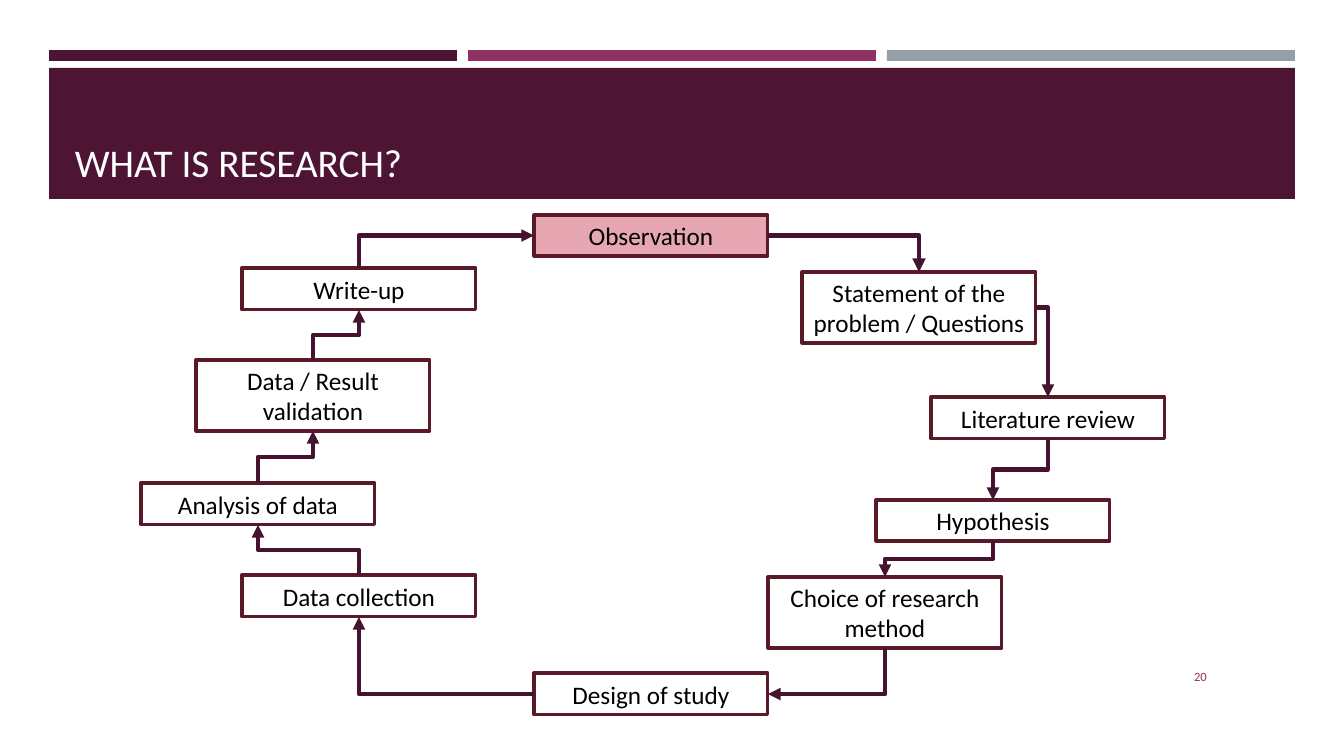
from lxml import etree
from pptx import Presentation
from pptx.dml.color import RGBColor
from pptx.enum.shapes import MSO_CONNECTOR, MSO_SHAPE
from pptx.enum.text import MSO_ANCHOR, PP_ALIGN
from pptx.oxml.ns import qn
from pptx.util import Pt

RECT, ELBOW = MSO_SHAPE.RECTANGLE, MSO_CONNECTOR.ELBOW
MIDDLE, BOTTOM_ANCHOR = MSO_ANCHOR.MIDDLE, MSO_ANCHOR.BOTTOM
LEFT_ALIGN, CENTER = PP_ALIGN.LEFT, PP_ALIGN.CENTER
PX = 914400 / 100.8
COLORS = {
    "plum": "4D1434", "magenta": "903163", "gray": "969FA7", "white": "FFFFFF",
    "black": "000000", "pink": "E6A7B3", "border": "591926", "arrow": "45122F",
}
# Connection sites of a rectangle, and the heading of a line leaving each
TOP, LEFT, BOTTOM, RIGHT = range(4)
HEADINGS = {TOP: (0, -1), LEFT: (-1, 0), BOTTOM: (0, 1), RIGHT: (1, 0)}
ROTATIONS = {TOP: 270, LEFT: 180, BOTTOM: 90, RIGHT: 0}

prs = Presentation()
prs.slide_width, prs.slide_height = round(1344 * PX), round(756 * PX)
slide = prs.slides.add_slide(prs.slide_layouts[6])
shapes = slide.shapes


def add_box(x, y, w, h, fill=None, border=None):
    box = shapes.add_shape(RECT, *(round(v * PX) for v in (x, y, w, h)))
    box.shadow.inherit = False
    if fill:
        box.fill.solid()
        box.fill.fore_color.rgb = RGBColor.from_string(COLORS[fill])
    else:
        box.fill.background()
    if border:
        box.line.color.rgb = RGBColor.from_string(COLORS[border])
        box.line.width = Pt(2.25)
    else:
        box.line.fill.background()
    return box


def write(shape, text, size, color, align, anchor):
    frame = shape.text_frame
    frame.word_wrap = True
    frame.vertical_anchor = anchor
    paragraph = frame.paragraphs[0]
    paragraph.text = text
    paragraph.alignment = align
    paragraph.font.name = "Calibri"
    paragraph.font.size = Pt(size)
    paragraph.font.color.rgb = RGBColor.from_string(COLORS[color])


# Header bars and title band
for column, color in enumerate(("plum", "magenta", "gray")):
    add_box(49 + 419 * column, 50, 408, 11, color)
add_box(49, 68, 1246, 131, "plum")

# Title and page number
for text, place, style in (
    ("WHAT IS RESEARCH?", (65, 78, 1215, 112), (28, "white", LEFT_ALIGN, BOTTOM_ANCHOR)),
    ("20", (1164, 656, 73, 41), (9, "magenta", CENTER, MIDDLE)),
):
    write(shapes.add_textbox(*(round(v * PX) for v in place)), text, *style)

# Research steps, clockwise: text, x, y, height, exit side, entry side of the next step
STEPS = [
    ("Observation", 534, 215, 41, RIGHT, TOP),
    ("Statement of the problem / Questions", 802, 272, 71, RIGHT, TOP),
    ("Literature review", 931, 397, 42, BOTTOM, TOP),
    ("Hypothesis", 876, 500, 41, BOTTOM, TOP),
    ("Choice of research method", 768, 577, 71, BOTTOM, RIGHT),
    ("Design of study", 534, 673, 42, LEFT, BOTTOM),
    ("Data collection", 242, 575, 42, TOP, BOTTOM),
    ("Analysis of data", 141, 483, 42, TOP, BOTTOM),
    ("Data / Result validation", 196, 360, 71, TOP, BOTTOM),
    ("Write-up", 242, 268, 42, TOP, LEFT),
]
step_boxes = []
for text, x, y, height, _, _ in STEPS:
    step = add_box(x, y, 234, height, "pink" if text == "Observation" else None, "border")
    write(step, text, 18, "black", CENTER, MIDDLE)
    step_boxes.append(step)

# Elbow arrows from each step to the next, closing the cycle
for i, (_, _, _, _, exit_side, entry_side) in enumerate(STEPS):
    source, target = step_boxes[i], step_boxes[(i + 1) % len(STEPS)]
    (x1, y1), (x2, y2) = (
        (box.left + box.width * (1 + HEADINGS[side][0]) // 2,
         box.top + box.height * (1 + HEADINGS[side][1]) // 2)
        for box, side in ((source, exit_side), (target, entry_side))
    )
    arrow = shapes.add_connector(ELBOW, x1, y1, x2, y2)
    arrow.begin_connect(source, exit_side)
    arrow.end_connect(target, entry_side)
    arrow.line.color.rgb = RGBColor.from_string(COLORS["arrow"])
    arrow.line.width = Pt(3.25 if i == 0 else 3)

    # Turn the elbow so that it leaves along the heading of its exit side
    dx, dy = x2 - x1, y2 - y1
    head_x, head_y = HEADINGS[exit_side]
    width, height = (abs(dx), abs(dy)) if head_x else (abs(dy), abs(dx))
    arrow.left, arrow.top = (x1 + x2 - width) // 2, (y1 + y2 - height) // 2
    arrow.width, arrow.height = width, height
    properties = arrow._element.spPr
    transform = properties.find(qn("a:xfrm"))
    transform.set("rot", str(ROTATIONS[exit_side] * 60000))
    transform.set("flipH", "0")
    transform.set("flipV", "1" if head_x * dy - head_y * dx < 0 else "0")
    if exit_side % 2 != entry_side % 2:
        properties.find(qn("a:prstGeom")).set("prst", "bentConnector2")
    etree.SubElement(arrow.line._get_or_add_ln(), qn("a:tailEnd"), type="triangle")
    etree.SubElement(properties, qn("a:effectLst"))

prs.save("out.pptx")
